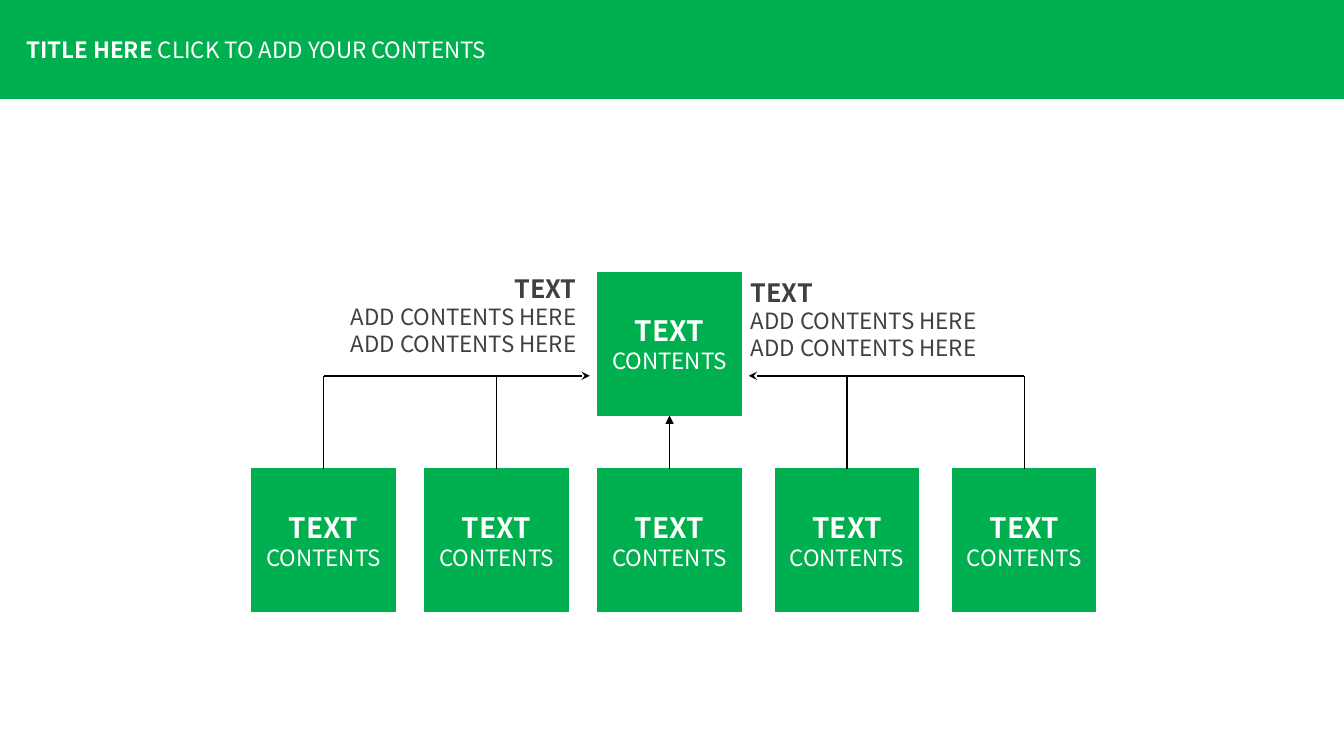
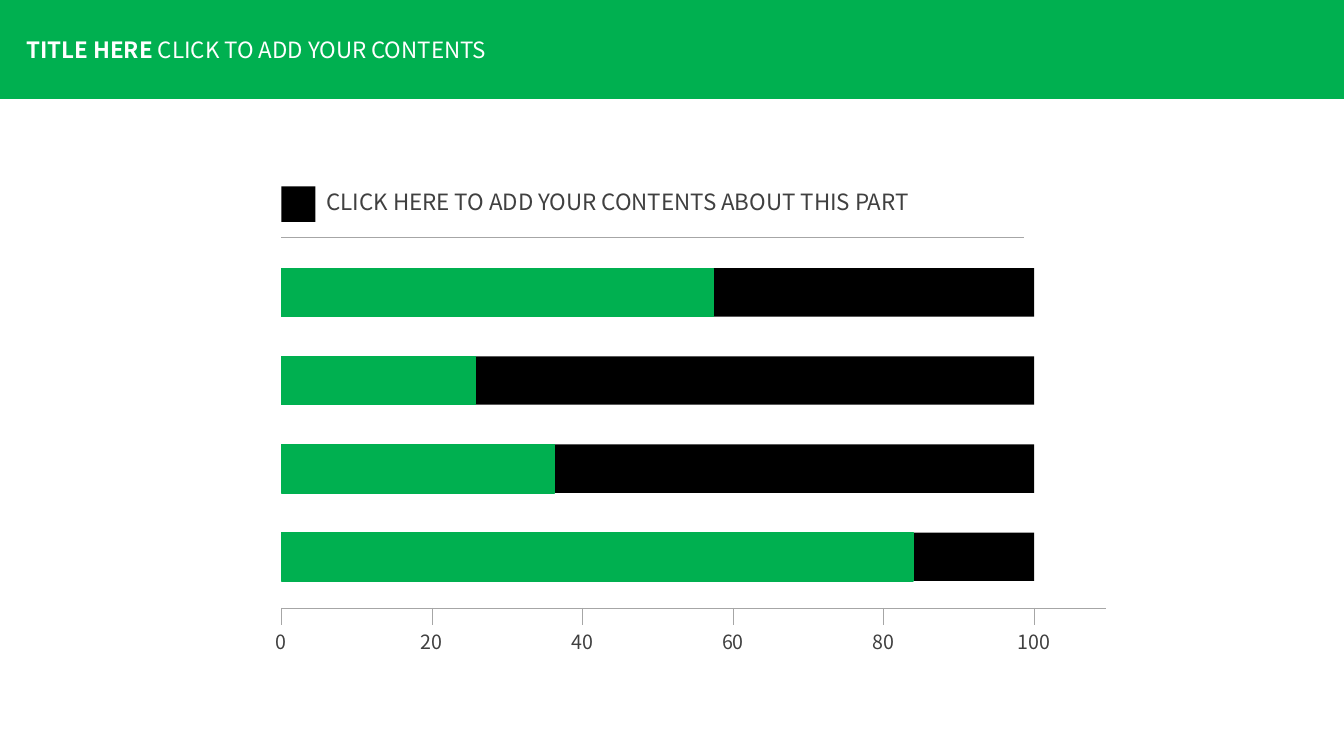
"""Build a two-slide deck: a box hierarchy and a bar scale."""
from lxml import etree
from pptx import Presentation
from pptx.dml.color import RGBColor
from pptx.enum.shapes import MSO_CONNECTOR as CONN, MSO_SHAPE as SHAPE
from pptx.enum.text import MSO_ANCHOR as ANCHOR, MSO_AUTO_SIZE as AUTO, PP_ALIGN as ALIGN
from pptx.oxml.ns import qn
from pptx.util import Cm, Pt

GREEN = RGBColor(0x00, 0xB0, 0x50)
BLACK = RGBColor(0x00, 0x00, 0x00)
WHITE = RGBColor(0xFF, 0xFF, 0xFF)
DARK = RGBColor(0x40, 0x40, 0x40)
GREY = RGBColor(0xA6, 0xA6, 0xA6)
FONT = "Noto Sans CJK SC"

BOX = 3.61
ROOT_TOP, ROW_TOP = 6.86, 11.81
ROW_LEFTS = (6.35, 10.71, 15.07, 19.54, 24.01)
BUS_Y = 9.47

LEFT, FULL = 7.09, 18.97
BAR_TOP, BAR_PITCH, BAR_HEIGHT = 6.76, 2.22, 1.22
BAR_VALUES = (57.4, 25.8, 36.3, 83.9)
AXIS_Y, TICK, LABEL_WIDTH = 15.32, 0.43, 1.7


def add_run(p, text, color, size=16, bold=False):
    """Append one formatted run to a paragraph."""
    r = p.add_run()
    r.text = text
    for name, value in {"name": FONT, "size": Pt(size), "bold": bold}.items():
        setattr(r.font, name, value)
    r.font.color.rgb = color


def write_lines(tf, lines, color, align=ALIGN.LEFT):
    """Write (text, size, bold) lines as paragraphs."""
    for i, (text, size, bold) in enumerate(lines):
        p = tf.add_paragraph() if i else tf.paragraphs[0]
        p.alignment = align
        add_run(p, text, color, size, bold)


def add_text(s, x, y, w, h, lines, align=ALIGN.LEFT):
    """Add a wrapping text box."""
    tf = s.shapes.add_textbox(Cm(x), Cm(y), Cm(w), Cm(h)).text_frame
    tf.word_wrap = True
    write_lines(tf, lines, DARK, align)


def add_rect(s, x, y, w, h, fill, line_width=0):
    """Add a flat rectangle, outlined in its fill colour when a width is given."""
    sp = s.shapes.add_shape(SHAPE.RECTANGLE, Cm(x), Cm(y), Cm(w), Cm(h))
    sp.shadow.inherit = False
    sp.fill.solid()
    sp.fill.fore_color.rgb = fill
    if line_width:
        sp.line.color.rgb = fill
        sp.line.width = Pt(line_width)
    else:
        sp.line.fill.background()
    return sp


def add_box(s, x, y):
    """Add a labelled green square."""
    sp = add_rect(s, x, y, BOX, BOX, GREEN, 0.75)
    tf = sp.text_frame
    for name, value in {"word_wrap": False, "vertical_anchor": ANCHOR.MIDDLE}.items():
        setattr(tf, name, value)
    write_lines(tf, [("TEXT", 20, True), ("CONTENTS", 16, False)], WHITE, ALIGN.CENTER)
    return sp


def add_line(s, x1, y1, x2, y2, color=BLACK, width=1, arrow=None):
    """Add a straight line, with an arrowhead at its end when one is named."""
    c = s.shapes.add_connector(CONN.STRAIGHT, Cm(x1), Cm(y1), Cm(x2), Cm(y2))
    c.line.color.rgb = color
    c.line.width = Pt(width)
    if arrow:
        etree.SubElement(c.line._get_or_add_ln(), qn("a:tailEnd"), type=arrow)
    etree.SubElement(c._element.spPr, qn("a:effectLst"))
    return c


def add_slide(prs):
    """Add a slide whose title forms the green band."""
    s = prs.slides.add_slide(prs.slide_layouts[5])
    title = s.shapes.title
    frame = {"left": 0, "top": 0, "width": prs.slide_width, "height": Cm(2.49)}
    for name, value in frame.items():
        setattr(title, name, value)
    title.fill.solid()
    title.fill.fore_color.rgb = GREEN
    title.line.color.rgb = GREEN
    title.line.width = Pt(1)
    tf = title.text_frame
    layout = {"margin_left": Cm(0.66), "vertical_anchor": ANCHOR.MIDDLE,
              "word_wrap": True, "auto_size": AUTO.NONE}
    for name, value in layout.items():
        setattr(tf, name, value)
    p = tf.paragraphs[0]
    p.alignment = ALIGN.LEFT
    add_run(p, "TITLE HERE ", WHITE, bold=True)
    add_run(p, "CLICK TO ADD YOUR CONTENTS", WHITE)
    return s


def build_hierarchy(prs):
    """Build the slide with five boxes leading to one."""
    s = add_slide(prs)
    note = [("TEXT", 18, True)] + [("ADD CONTENTS HERE", 16, False)] * 2
    add_text(s, 6.35, 6.76, 8.43, 3.07, note, ALIGN.RIGHT)
    add_text(s, 18.67, 6.86, 8.64, 3.07, note)
    centers = [x + BOX / 2 for x in ROW_LEFTS]
    middle = len(ROW_LEFTS) // 2
    root = add_box(s, ROW_LEFTS[middle], ROOT_TOP)
    for i, (x, center) in enumerate(zip(ROW_LEFTS, centers)):
        box = add_box(s, x, ROW_TOP)
        arrow = "triangle" if i == middle else None
        c = add_line(s, center, ROW_TOP, center, BUS_Y, arrow=arrow)
        c.begin_connect(box, 0)
        if i == middle:
            c.end_connect(root, 2)
    for start, end in ((centers[0], 14.86), (centers[-1], 18.87)):
        add_line(s, start, BUS_Y, end, BUS_Y, arrow="stealth")


def build_bars(prs):
    """Build the slide with bars on a scale from 0 to 100."""
    s = add_slide(prs)
    add_rect(s, LEFT, 4.7, 0.86, 0.89, BLACK)
    heading = "CLICK HERE TO ADD YOUR CONTENTS ABOUT THIS PART"
    add_text(s, 7.98, 4.62, 17.83, 0.94, [(heading, 16, False)])
    add_line(s, LEFT, 5.99, 25.81, 5.99, GREY, 0.5)
    for i, value in enumerate(BAR_VALUES):
        y = BAR_TOP + i * BAR_PITCH
        add_rect(s, LEFT, y, FULL, BAR_HEIGHT, BLACK)
        add_rect(s, LEFT, y, FULL * value / 100, BAR_HEIGHT, GREEN, 1)
    add_line(s, LEFT, AXIS_Y, 27.86, AXIS_Y, GREY, 0.5)
    for mark in range(0, 101, 20):
        x = LEFT + FULL * mark / 100
        add_line(s, x, AXIS_Y, x, AXIS_Y + TICK, GREY, 0.5)
        add_text(s, x - LABEL_WIDTH / 2, AXIS_Y + TICK, LABEL_WIDTH, 0.86,
                 [(str(mark), 14, False)], ALIGN.CENTER)


def main():
    """Build and save the deck."""
    prs = Presentation()
    prs.slide_width, prs.slide_height = Cm(33.87), Cm(19.05)
    build_hierarchy(prs)
    build_bars(prs)
    prs.save("out.pptx")


if __name__ == "__main__":
    main()
